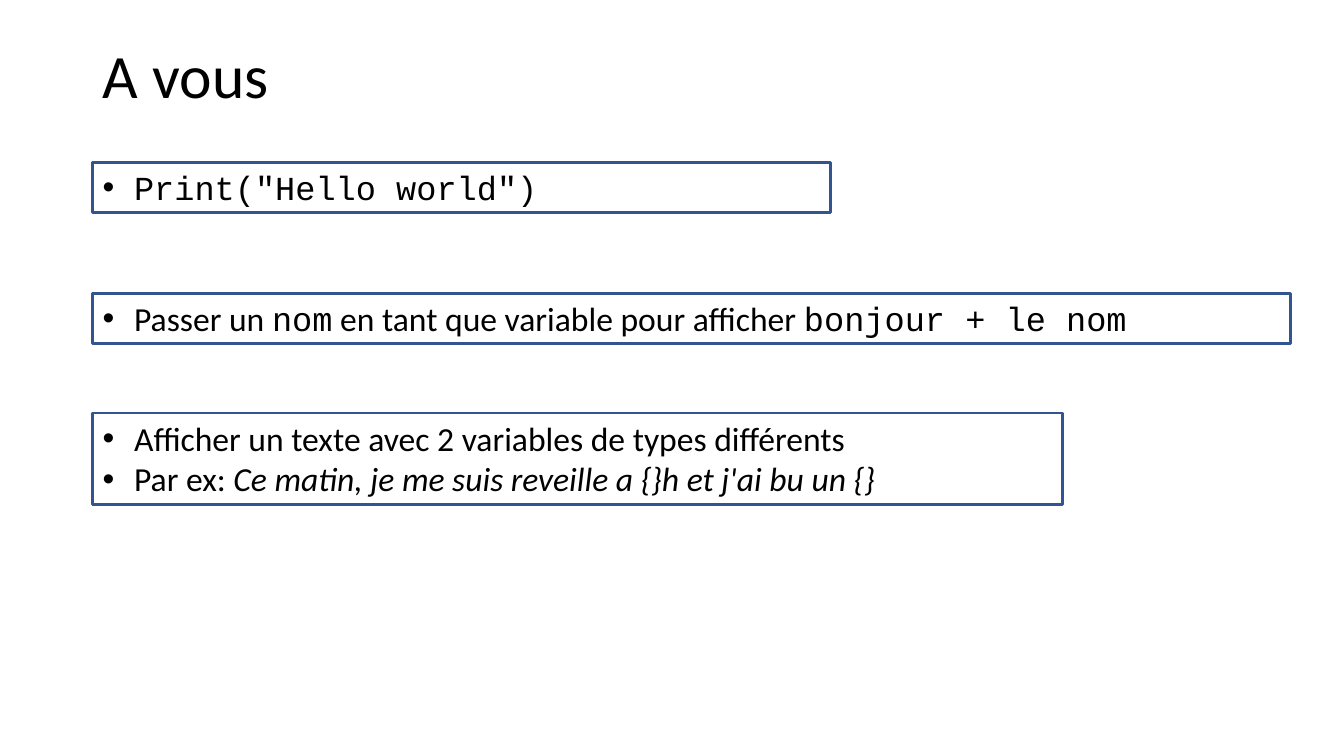
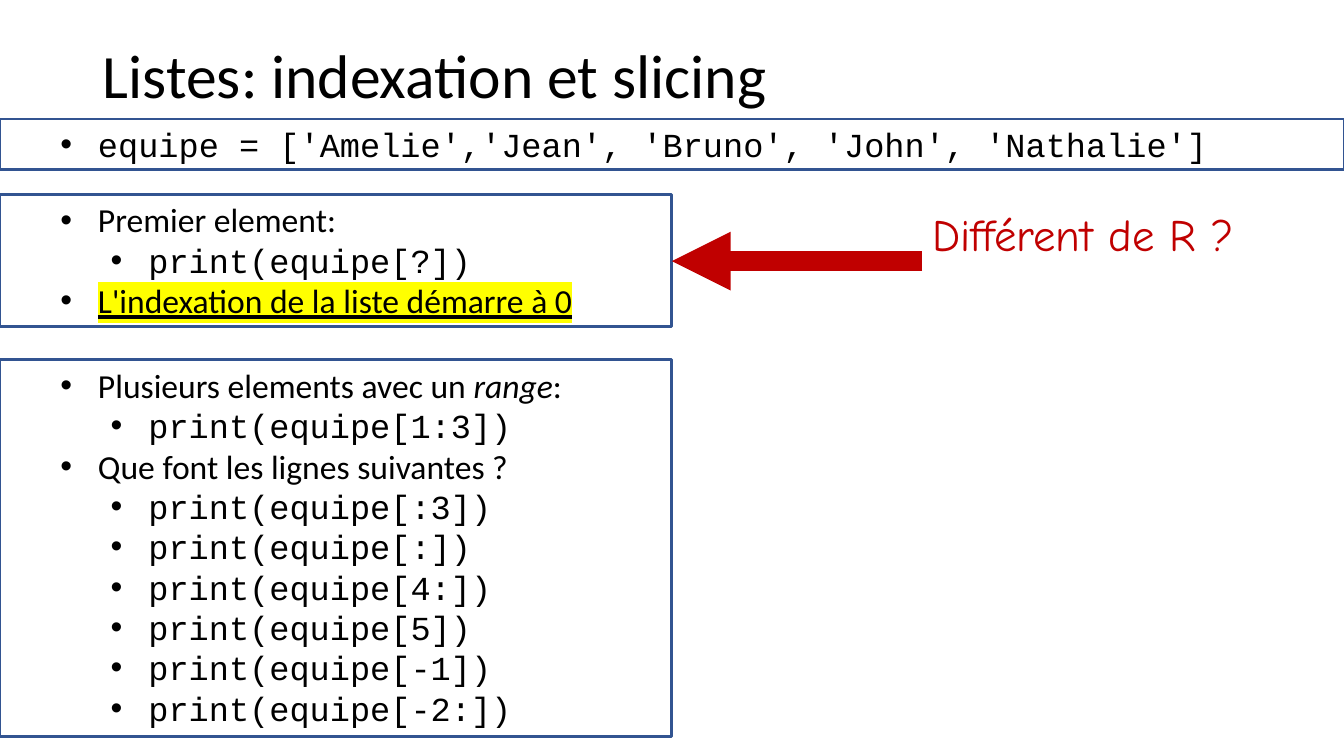
"""Build two Python course slides: a printing exercise and list indexing."""
from lxml.etree import SubElement
from pptx import Presentation
from pptx.dml.color import RGBColor
from pptx.enum.shapes import MSO_CONNECTOR, MSO_SHAPE
from pptx.enum.text import MSO_ANCHOR, MSO_AUTO_SIZE, PP_ALIGN
from pptx.oxml import parse_xml
from pptx.oxml.ns import nsdecls, qn
from pptx.util import Cm, Pt

BLACK = RGBColor(0x00, 0x00, 0x00)
BLUE = RGBColor(0x32, 0x54, 0x91)
RED = RGBColor(0xC0, 0x00, 0x00)
HIGHLIGHT = RGBColor(0xFF, 0xFF, 0x00)

BODY = {"name": "Calibri", "size": Pt(24)}
CODE = {"name": "Courier New", "size": Pt(24)}
ITALIC = {**BODY, "italic": True}
MARKED = {**BODY, "underline": True}
TITLE = {"name": "Calibri", "size": Pt(44)}
NOTE = {"name": "Comic Neue", "size": Pt(32)}

SLIDE_WIDTH, SLIDE_HEIGHT = 33.87, 19.05
HALF_WIDTH = 16.93
LINE_HEIGHT = 1.27
NOTE_LEFT = 23.24
INDENTS = [(0.79, 0.79), (2.22, 0.95), (3.49, 0.95)]


def add_run(paragraph, text, style, color=BLACK):
    """Append one formatted run to a paragraph."""
    run = paragraph.add_run()
    run.text = text
    run.font.color.rgb = color
    for attribute, value in style.items():
        setattr(run.font, attribute, value)
    if style is MARKED:
        highlight = parse_xml(
            f'<a:highlight {nsdecls("a")}><a:srgbClr val="{HIGHLIGHT}"/></a:highlight>')
        run.font._element.find(qn("a:latin")).addprevious(highlight)


def add_bullet_box(slide, left, top, width, height, bullets):
    """Draw an outlined box holding (level, runs) bullets."""
    box = slide.shapes.add_shape(
        MSO_SHAPE.RECTANGLE, Cm(left), Cm(top), Cm(width), Cm(height))
    box.shadow.inherit = False
    box.fill.background()
    box.line.color.rgb = BLUE
    box.line.width = Pt(2)
    frame = box.text_frame
    frame.word_wrap = True
    frame.auto_size = MSO_AUTO_SIZE.SHAPE_TO_FIT_TEXT
    frame.vertical_anchor = MSO_ANCHOR.TOP
    for number, (level, runs) in enumerate(bullets):
        paragraph = frame.add_paragraph() if number else frame.paragraphs[0]
        paragraph.alignment = PP_ALIGN.LEFT
        paragraph.level = level
        margin, hanging = INDENTS[level]
        properties = paragraph._p.get_or_add_pPr()
        properties.set("marL", str(Cm(margin)))
        properties.set("indent", str(-Cm(hanging)))
        SubElement(properties, qn("a:buFont")).set("typeface", "Arial")
        SubElement(properties, qn("a:buChar")).set("char", "•")
        for text, style in runs:
            add_run(paragraph, text, style)


presentation = Presentation()
presentation.slide_width = Cm(SLIDE_WIDTH)
presentation.slide_height = Cm(SLIDE_HEIGHT)

exercise_boxes = [
    (2.34, 4.09, 18.59, LINE_HEIGHT, [(0, [('Print("Hello world")', CODE)])]),
    (2.34, 7.39, 30.18, LINE_HEIGHT, [
        (0, [("Passer un ", BODY), ("nom", CODE),
             (" en tant que variable pour afficher ", BODY),
             ("bonjour + le nom", CODE)]),
    ]),
    (2.34, 10.41, 24.43, 2.31, [
        (0, [("Afficher un texte avec 2 variables de types différents", BODY)]),
        (0, [("Par ex: ", BODY),
             ("Ce matin, je me suis reveille a {}h et j'ai bu un {}", ITALIC)]),
    ]),
]

slices = [":3", ":", "4:", "5", "-1", "-2:"]
list_boxes = [
    (0, 3, SLIDE_WIDTH, LINE_HEIGHT, [
        (1, [("equipe = ['Amelie','Jean', 'Bruno', 'John', 'Nathalie']", CODE)]),
    ]),
    (0, 4.9, HALF_WIDTH, 3.33, [
        (1, [("Premier element:", BODY)]),
        (2, [("print(equipe[?])", CODE)]),
        (1, [("L'indexation de la liste démarre à 0", MARKED)]),
    ]),
    (0, 9.07, HALF_WIDTH, 9.5, [
        (1, [("Plusieurs elements avec un ", BODY), ("range", ITALIC), (":", BODY)]),
        (2, [("print(equipe[1:3])", CODE)]),
        (1, [("Que font les lignes suivantes ?", BODY)]),
        *[(2, [(f"print(equipe[{bounds}])", CODE)]) for bounds in slices],
    ]),
]

for title_text, boxes in [("A vous", exercise_boxes),
                          ("Listes: indexation et slicing", list_boxes)]:
    slide = presentation.slides.add_slide(presentation.slide_layouts[5])
    title = slide.shapes.title
    title.left, title.top = Cm(2.34), Cm(1.02)
    title.width, title.height = Cm(29.21), Cm(3.68)
    title.text_frame.word_wrap = True
    title.text_frame.auto_size = MSO_AUTO_SIZE.NONE
    title.text_frame.vertical_anchor = MSO_ANCHOR.TOP
    paragraph = title.text_frame.paragraphs[0]
    paragraph.alignment = PP_ALIGN.LEFT
    paragraph.line_spacing = 0.9
    add_run(paragraph, title_text, TITLE)
    for box_values in boxes:
        add_bullet_box(slide, *box_values)

note = slide.shapes.add_textbox(Cm(NOTE_LEFT), Cm(5.08), Cm(9.65), Cm(3))
note.text_frame.word_wrap = True
add_run(note.text_frame.paragraphs[0], "Différent de R ?", NOTE, RED)

arrow = slide.shapes.add_connector(
    MSO_CONNECTOR.STRAIGHT, Cm(NOTE_LEFT), Cm(6.58), Cm(HALF_WIDTH), Cm(6.58))
arrow.line.color.rgb = RED
arrow.line.width = Pt(14)
SubElement(arrow.line._get_or_add_ln(), qn("a:tailEnd")).set("type", "triangle")
SubElement(arrow._element.spPr, qn("a:effectLst"))

presentation.save("out.pptx")
